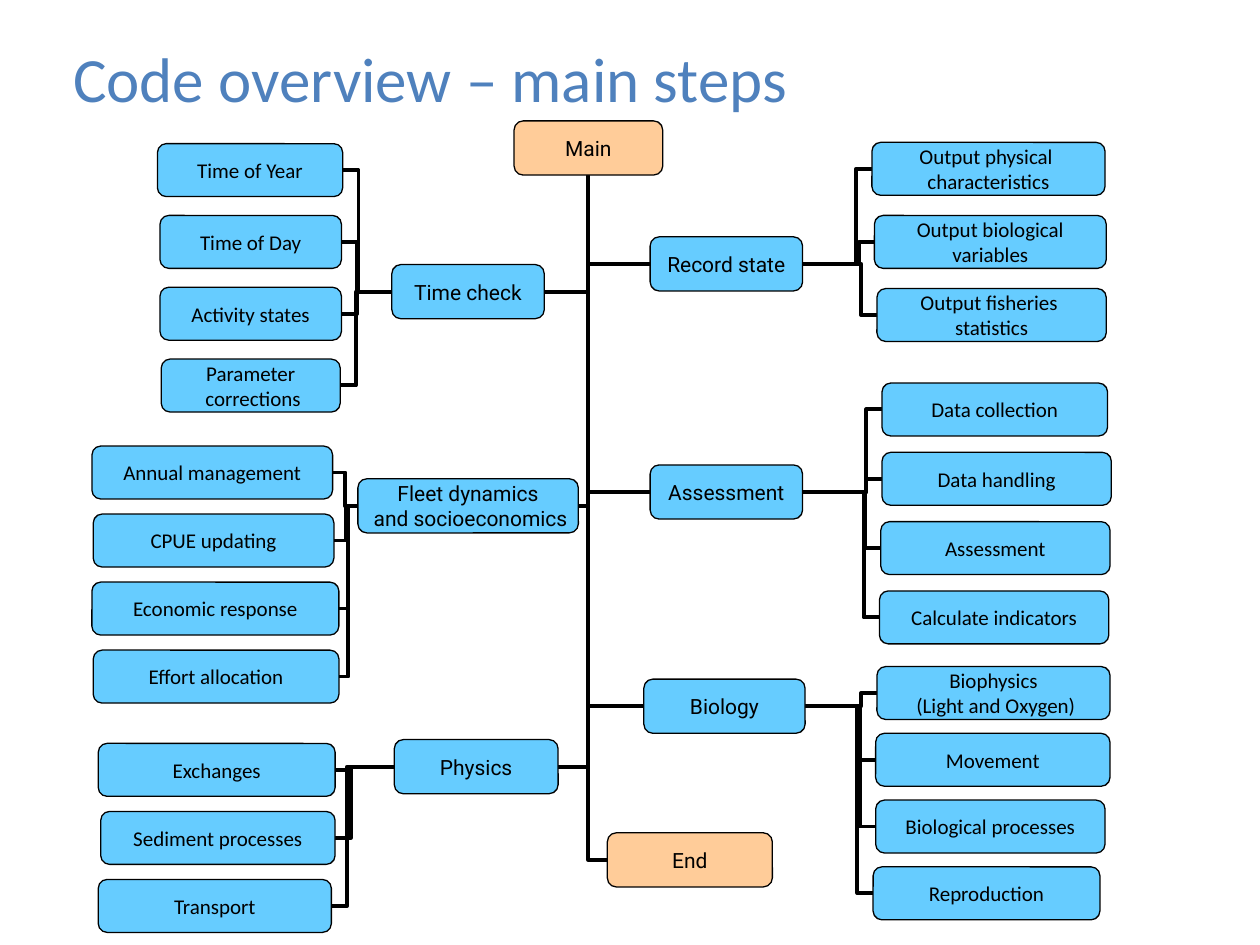
from collections import namedtuple
from dataclasses import dataclass

from lxml import etree
from pptx import Presentation
from pptx.dml.color import RGBColor
from pptx.enum.shapes import MSO_CONNECTOR, MSO_SHAPE
from pptx.enum.text import MSO_ANCHOR, PP_ALIGN
from pptx.oxml.ns import qn
from pptx.util import Inches, Pt

ELBOW = MSO_CONNECTOR.ELBOW
ROUNDED = MSO_SHAPE.ROUNDED_RECTANGLE
MIDDLE = MSO_ANCHOR.MIDDLE
CENTER, LEFT = PP_ALIGN.CENTER, PP_ALIGN.LEFT
LEFT_SITE, BOTTOM_SITE, RIGHT_SITE = 1, 2, 3
TITLE_ONLY = 5


@dataclass(frozen=True)
class Theme:
    title: RGBColor = RGBColor(0x4F, 0x81, 0xBD)
    ink: RGBColor = RGBColor(0, 0, 0)
    terminal: RGBColor = RGBColor(0xFF, 0xCC, 0x99)
    process: RGBColor = RGBColor(0x66, 0xCC, 0xFF)
    hub_font: str = "Roboto"
    step_font: str = "Calibri"
    title_size: Pt = Pt(36)
    label_size: Pt = Pt(12)
    outline: Pt = Pt(0.75)
    link: Pt = Pt(2.25)


THEME = Theme()
NODE_HEIGHT = 0.42
HUB_HEIGHT = 0.43
STUB = Inches(0.125)

Box = namedtuple("Box", "left top width height")
# The hub is flush with the inner edge of the box; steps are (label, inset, width).
Branch = namedtuple("Branch", "box on_right hub hub_drop hub_width steps")

BRANCHES = [
    Branch(Box(5.16, 1.13, 3.62, 1.58), True, "Record state", 0.75, 1.21, [
        ("Output physical \ncharacteristics", 1.76, 1.85),
        ("Output biological\nvariables", 1.78, 1.84),
        ("Output fisheries \nstatistics", 1.8, 1.82)]),
    Branch(Box(1.25, 1.14, 3.07, 2.13), False, "Time check", 0.96, 1.21, [
        ("Time of Year", 0, 1.47),
        ("Time of Day", 0.02, 1.44),
        ("Activity states", 0.02, 1.44),
        ("Parameter\n corrections", 0.03, 1.42)]),
    Branch(Box(5.16, 3.04, 3.66, 2.07), True, "Assessment", 0.65, 1.21, [
        ("Data collection", 1.84, 1.79),
        ("Data handling", 1.84, 1.82),
        ("Assessment", 1.83, 1.82),
        ("Calculate indicators", 1.82, 1.82)]),
    Branch(Box(0.73, 3.54, 3.86, 2.04), False,
           "Fleet dynamics\n and socioeconomics", 0.26, 1.75, [
        ("Annual management", 0, 1.91),
        ("CPUE updating", 0.01, 1.91),
        ("Economic response", 0, 1.96),
        ("Effort allocation", 0.01, 1.95)]),
    Branch(Box(5.11, 5.29, 3.7, 2.01), True, "Biology", 0.1, 1.28, [
        ("Biophysics\n (Light and Oxygen)", 1.85, 1.85),
        ("Movement", 1.84, 1.86),
        ("Biological processes", 1.84, 1.82),
        ("Reproduction", 1.82, 1.8)]),
    Branch(Box(0.78, 5.9, 3.65, 1.5), False, "Physics", -0.03, 1.3, [
        ("Exchanges", 0, 1.88),
        ("Sediment processes", 0.02, 1.86),
        ("Transport", 0, 1.85)]),
]


def apply(target, formats):
    for attribute, value in formats.items():
        setattr(target, attribute, value)


def add_node(slide, label, box, fill, font_name):
    node = slide.shapes.add_shape(ROUNDED, *map(Inches, box))
    node.shadow.inherit = False
    node.fill.solid()
    node.fill.fore_color.rgb = fill
    node.line.color.rgb = THEME.ink
    node.line.width = THEME.outline
    frame = node.text_frame
    apply(frame, {"text": label, "word_wrap": False, "vertical_anchor": MIDDLE})
    for paragraph in frame.paragraphs:
        paragraph.alignment = CENTER
        for run in paragraph.runs:
            apply(run.font, {"name": font_name, "size": THEME.label_size})
            run.font.color.rgb = THEME.ink
    return node


def add_link(slide, start, start_site, end, end_site, behind):
    """Join two nodes by an elbow line that lies behind the given node."""
    link = slide.shapes.add_connector(ELBOW, 0, 0, 0, 0)
    link.begin_connect(start, start_site)
    link.end_connect(end, end_site)
    link.line.color.rgb = THEME.ink
    link.line.width = THEME.link
    properties = link._element.spPr
    etree.SubElement(properties, qn("a:effectLst"))
    geometry = properties.find(qn("a:prstGeom"))
    if end_site == BOTTOM_SITE:
        geometry.set("prst", "bentConnector2")
    else:
        bend = min(STUB / link.width, 0.5)
        guides = geometry.find(qn("a:avLst"))
        etree.SubElement(guides, qn("a:gd"), name="adj1",
                         fmla=f"val {round(bend * 100000)}")
    behind._element.addprevious(link._element)


def add_title(slide, text, box):
    title = slide.shapes.title
    apply(title, dict(zip(box._fields, map(Inches, box))))
    apply(title.text_frame, {"text": text, "vertical_anchor": MIDDLE})
    paragraph = title.text_frame.paragraphs[0]
    paragraph.alignment = LEFT
    font = paragraph.runs[0].font
    apply(font, {"name": THEME.step_font, "size": THEME.title_size})
    font.color.rgb = THEME.title


def add_branch(slide, branch, main):
    """Place a hub and its evenly spaced steps, then link them to the spine."""
    box = branch.box
    hub_left = box.left if branch.on_right else box.left + box.width - branch.hub_width
    hub_box = Box(hub_left, box.top + branch.hub_drop, branch.hub_width, HUB_HEIGHT)
    hub = add_node(slide, branch.hub, hub_box, THEME.process, THEME.hub_font)
    inner, outer = (LEFT_SITE, RIGHT_SITE) if branch.on_right else (RIGHT_SITE, LEFT_SITE)
    add_link(slide, hub, inner, main, BOTTOM_SITE, main)

    pitch = (box.height - NODE_HEIGHT) / (len(branch.steps) - 1)
    for row, (label, inset, width) in enumerate(branch.steps):
        step_box = Box(box.left + inset, box.top + row * pitch, width, NODE_HEIGHT)
        step = add_node(slide, label, step_box, THEME.process, THEME.step_font)
        add_link(slide, step, inner, hub, outer, main)


def main():
    deck = Presentation()
    deck.slide_width, deck.slide_height = Inches(10), Inches(7.5)
    slide = deck.slides.add_slide(deck.slide_layouts[TITLE_ONLY])
    add_title(slide, "Code overview – main steps", Box(0.48, 0.26, 8.45, 0.71))

    start = add_node(slide, "Main", Box(4.08, 0.96, 1.18, HUB_HEIGHT),
                     THEME.terminal, THEME.hub_font)
    for branch in BRANCHES:
        add_branch(slide, branch, start)
    end = add_node(slide, "End", Box(4.82, 6.61, 1.31, HUB_HEIGHT),
                   THEME.terminal, THEME.hub_font)
    add_link(slide, end, LEFT_SITE, start, BOTTOM_SITE, start)
    deck.save("out.pptx")


if __name__ == "__main__":
    main()
